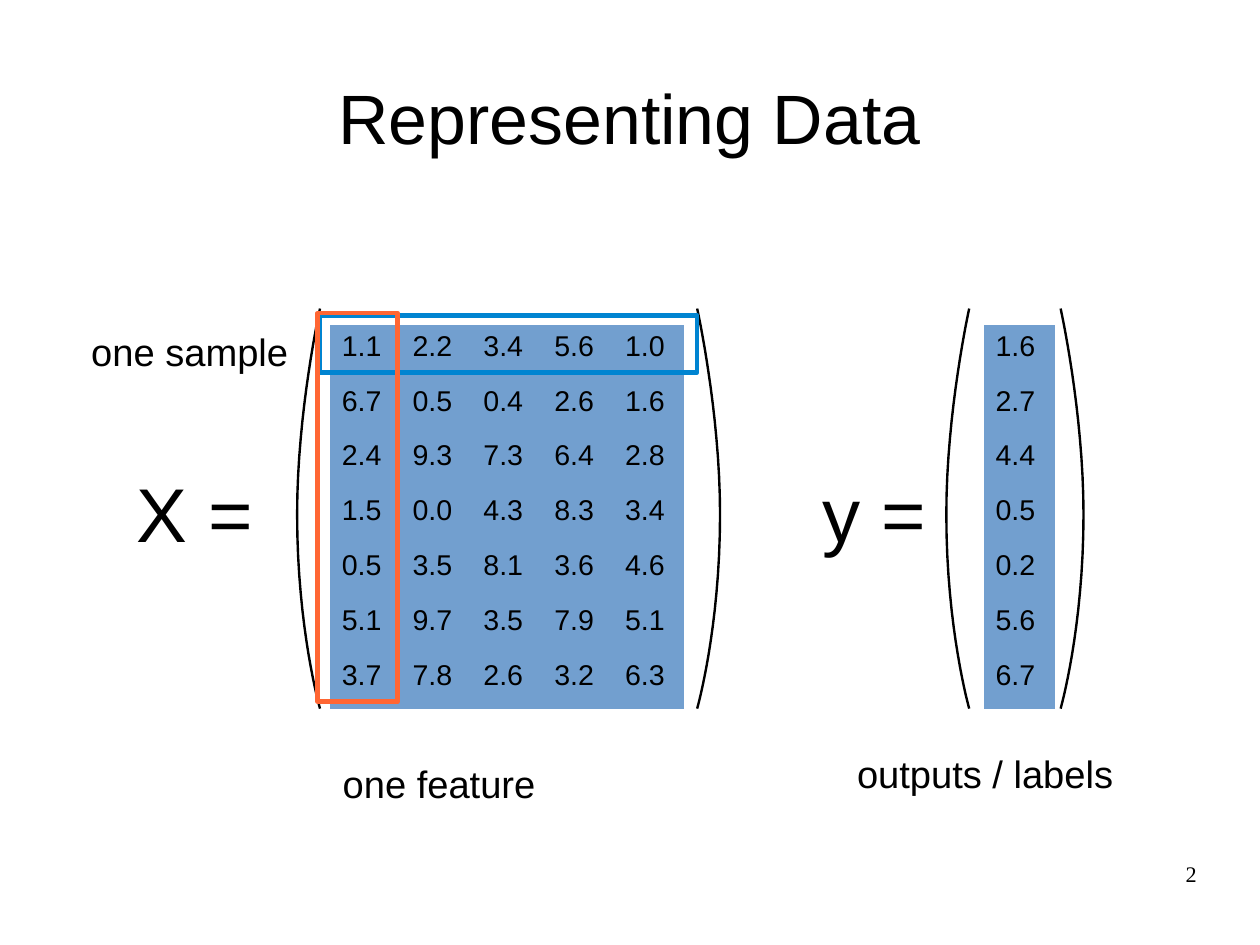
from lxml import etree
from pptx import Presentation
from pptx import util as u
from pptx.dml.color import RGBColor
from pptx.enum import shapes, text
from pptx.oxml.ns import qn

COLORS = {"ink": "000000", "cell": "729FCF", "sample": "0084D1", "feature": "FF6633"}
NO_GRID = "{2D5ABB26-0587-4C30-8999-92F81FD0307C}"

COL_W, ROW_H, TABLE_TOP = 0.62, 0.48, 2.84
PAREN_TOP = 2.7
CURVE_STEPS = 16

FEATURES = [
    ["1.1", "2.2", "3.4", "5.6", "1.0"],
    ["6.7", "0.5", "0.4", "2.6", "1.6"],
    ["2.4", "9.3", "7.3", "6.4", "2.8"],
    ["1.5", "0.0", "4.3", "8.3", "3.4"],
    ["0.5", "3.5", "8.1", "3.6", "4.6"],
    ["5.1", "9.7", "3.5", "7.9", "5.1"],
    ["3.7", "7.8", "2.6", "3.2", "6.3"],
]
LABELS = [["1.6"], ["2.7"], ["4.4"], ["0.5"], ["0.2"], ["5.6"], ["6.7"]]


def rgb(name):
    return RGBColor.from_string(COLORS[name])


def bezier(p0, p1, p2, p3):
    """Points along a cubic curve, without its start."""
    for i in range(1, CURVE_STEPS + 1):
        t = i / CURVE_STEPS
        s = 1 - t
        yield tuple(s**3 * a + 3 * s * s * t * b + 3 * s * t * t * c + t**3 * d
                    for a, b, c, d in zip(p0, p1, p2, p3))


class Deck:
    def __init__(self, slide, font="Arial"):
        self.slide = slide
        self.font = font

    def style(self, tf, size, font=None, align=None):
        p = tf.paragraphs[0]
        p.alignment = align
        for r in p.runs:
            r.font.size = u.Pt(size)
            r.font.name = font or self.font
            r.font.color.rgb = rgb("ink")

    def text(self, words, box, size, inset=True, anchor=text.MSO_ANCHOR.TOP, **style):
        tf = self.slide.shapes.add_textbox(*map(u.Inches, box)).text_frame
        tf.word_wrap = True
        tf.vertical_anchor = anchor
        if not inset:
            tf.margin_left = tf.margin_right = tf.margin_top = tf.margin_bottom = 0
        tf.text = words
        self.style(tf, size, **style)

    def outline(self, sp, color, width):
        sp.shadow.inherit = False
        sp.fill.background()
        sp.line.color.rgb = rgb(color)
        sp.line.width = u.Pt(width)
        etree.SubElement(sp._element.spPr.find(qn("a:ln")), qn("a:round"))

    def paren(self, x, bulge):
        """Draw a parenthesis with its ends at x; a negative bulge opens right."""
        top, low, bottom = (x, PAREN_TOP), (x + bulge, 4.5), (x, 6.2)
        points = [*bezier(top, top, (x + bulge, 3.6), low),
                  *bezier(low, (x + bulge, 5.5), bottom, bottom)]
        builder = self.slide.shapes.build_freeform(u.Inches(x), u.Inches(PAREN_TOP))
        builder.add_line_segments([(u.Inches(a), u.Inches(b)) for a, b in points],
                                  close=False)
        self.outline(builder.convert_to_shape(), "ink", 1.5)

    def matrix(self, rows, left):
        n, m = len(rows), len(rows[0])
        table = self.slide.shapes.add_table(
            n, m, u.Inches(left), u.Inches(TABLE_TOP),
            u.Inches(COL_W * m), u.Inches(ROW_H * n)).table
        table.first_row = table.horz_banding = False
        table._tbl.tblPr.find(qn("a:tableStyleId")).text = NO_GRID
        for i, row in enumerate(rows):
            for j, value in enumerate(row):
                cell = table.cell(i, j)
                cell.text_frame.text = value
                cell.fill.solid()
                cell.fill.fore_color.rgb = rgb("cell")
                self.style(cell.text_frame, 18)

    def frame(self, box, color):
        sp = self.slide.shapes.add_shape(shapes.MSO_SHAPE.RECTANGLE,
                                         *map(u.Inches, box))
        self.outline(sp, color, 2.89)


def main():
    prs = Presentation()
    prs.slide_width = u.Cm(28)
    prs.slide_height = u.Cm(21)
    deck = Deck(prs.slides.add_slide(prs.slide_layouts[6]))

    deck.text("Representing Data", (0.55, 0.33, 9.92, 1.38), 44, inset=False,
              anchor=text.MSO_ANCHOR.MIDDLE, align=text.PP_ALIGN.CENTER)
    for x, bulge in ((2.8, -0.2), (8.48, -0.2), (9.28, 0.2), (6.1, 0.2)):
        deck.paren(x, bulge)
    deck.text("X =", (1.1, 4.03, 1.4, 0.85), 48)
    deck.text("y =", (7.1, 4.03, 1.29, 0.85), 48)
    deck.matrix(FEATURES, 2.89)
    deck.matrix(LABELS, 8.61)
    deck.text("one sample", (0.7, 2.82, 2, 0.47), 24)
    deck.frame((2.8, 2.76, 3.3, 0.5), "sample")
    deck.text("one feature", (2.9, 6.6, 3, 0.47), 24)
    deck.frame((2.78, 2.74, 0.7, 3.4), "feature")
    deck.text("outputs / labels", (7.4, 6.52, 3.5, 0.47), 24)
    deck.text("2", (7.9, 7.53, 2.57, 0.57), 14, inset=False,
              font="Times New Roman", align=text.PP_ALIGN.RIGHT)
    prs.save("out.pptx")


if __name__ == "__main__":
    main()
